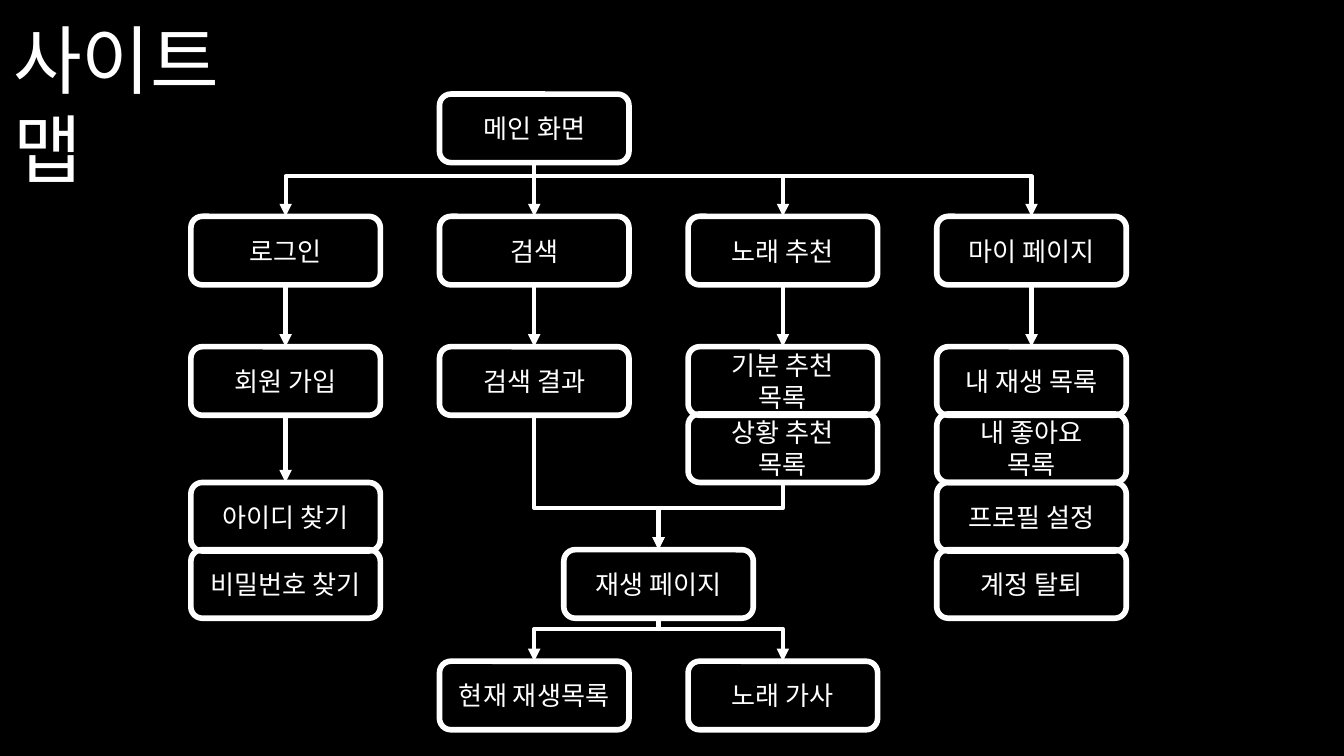
"""Build the site map slide of a music service."""
from dataclasses import dataclass
from typing import Optional

from lxml import etree
from pptx import Presentation
from pptx.dml.color import RGBColor
from pptx.enum.shapes import MSO_CONNECTOR, MSO_SHAPE
from pptx.enum.text import MSO_ANCHOR, MSO_AUTO_SIZE, PP_ALIGN
from pptx.oxml.ns import qn
from pptx.shapes.autoshape import Shape
from pptx.slide import Slide
from pptx.text.text import TextFrame
from pptx.util import Inches, Pt

ROUNDED = MSO_SHAPE.ROUNDED_RECTANGLE
STRAIGHT, ELBOW = MSO_CONNECTOR.STRAIGHT, MSO_CONNECTOR.ELBOW
LEFT, CENTER = PP_ALIGN.LEFT, PP_ALIGN.CENTER
TOP, MIDDLE = MSO_ANCHOR.TOP, MSO_ANCHOR.MIDDLE
GROW = MSO_AUTO_SIZE.SHAPE_TO_FIT_TEXT
TOP_SITE, BOTTOM_SITE = 0, 2


@dataclass(frozen=True)
class Theme:
    background: RGBColor = RGBColor(0x00, 0x00, 0x00)
    ink: RGBColor = RGBColor(0xFF, 0xFF, 0xFF)
    font: str = "Calibri"
    title_size: int = 40
    label_size: int = 14
    box_line: float = 3
    link_line: float = 2.25


@dataclass(frozen=True)
class Screen:
    label: str
    column: float
    row: int


@dataclass(frozen=True)
class Link:
    source: str
    target: str
    lane: Optional[float] = None


THEME = Theme()
PAGE_WIDTH = Inches(10)
PAGE_HEIGHT = PAGE_WIDTH * 9 // 16
BOX_WIDTH, BOX_HEIGHT = 1.41, 0.51
FIRST_COLUMN, COLUMN_STEP = 1.42, 1.85
ROW_TOPS = (0.7, 1.61, 2.58, 3.08, 3.59, 4.09, 4.92)
INSET = 0.1
MENU_LANE, PLAYER_LANE, DETAIL_LANE = 1.31, 3.78, 4.68

SCREENS = (
    Screen("메인 화면", 1, 0),
    Screen("로그인", 0, 1),
    Screen("검색", 1, 1),
    Screen("노래 추천", 2, 1),
    Screen("마이 페이지", 3, 1),
    Screen("회원 가입", 0, 2),
    Screen("검색 결과", 1, 2),
    Screen("기분 추천 목록", 2, 2),
    Screen("내 재생 목록", 3, 2),
    Screen("상황 추천 목록", 2, 3),
    Screen("내 좋아요 목록", 3, 3),
    Screen("아이디 찾기", 0, 4),
    Screen("프로필 설정", 3, 4),
    Screen("비밀번호 찾기", 0, 5),
    Screen("재생 페이지", 1.5, 5),
    Screen("계정 탈퇴", 3, 5),
    Screen("현재 재생목록", 1, 6),
    Screen("노래 가사", 2, 6),
)

LINKS = (
    Link("메인 화면", "검색"),
    Link("메인 화면", "로그인", MENU_LANE),
    Link("메인 화면", "노래 추천", MENU_LANE),
    Link("메인 화면", "마이 페이지", MENU_LANE),
    Link("로그인", "회원 가입"),
    Link("검색", "검색 결과"),
    Link("노래 추천", "기분 추천 목록"),
    Link("마이 페이지", "내 재생 목록"),
    Link("회원 가입", "아이디 찾기"),
    Link("검색 결과", "재생 페이지", PLAYER_LANE),
    Link("상황 추천 목록", "재생 페이지", PLAYER_LANE),
    Link("재생 페이지", "현재 재생목록", DETAIL_LANE),
    Link("재생 페이지", "노래 가사", DETAIL_LANE),
)


def write_text(frame: TextFrame, text: str, size: int, align: PP_ALIGN, anchor: MSO_ANCHOR) -> None:
    frame.word_wrap = True
    frame.vertical_anchor = anchor
    frame.margin_left = frame.margin_right = Inches(INSET)
    frame.margin_top = frame.margin_bottom = Inches(INSET)
    para = frame.paragraphs[0]
    para.alignment = align
    span = para.add_run()
    span.text = text
    span.font.name = THEME.font
    span.font.size = Pt(size)
    span.font.color.rgb = THEME.ink


def draw_title(page: Slide, text: str) -> None:
    box = page.shapes.add_textbox(Inches(0), Inches(0), Inches(2.24), Inches(0.88))
    write_text(box.text_frame, text, THEME.title_size, LEFT, TOP)
    box.text_frame.auto_size = GROW


def draw_screen(page: Slide, screen: Screen) -> Shape:
    left = FIRST_COLUMN + COLUMN_STEP * screen.column
    box = page.shapes.add_shape(
        ROUNDED, Inches(left), Inches(ROW_TOPS[screen.row]), Inches(BOX_WIDTH), Inches(BOX_HEIGHT)
    )
    box.shadow.inherit = False
    box.fill.background()
    box.line.color.rgb = THEME.ink
    box.line.width = Pt(THEME.box_line)
    write_text(box.text_frame, screen.label, THEME.label_size, CENTER, MIDDLE)
    return box


def draw_link(page: Slide, source: Shape, target: Shape, lane: Optional[float]) -> None:
    start_x, start_y = source.left + source.width // 2, source.top + source.height
    end_x, end_y = target.left + target.width // 2, target.top
    kind = STRAIGHT if lane is None else ELBOW
    link = page.shapes.add_connector(kind, start_x, start_y, end_x, end_y)
    link.begin_connect(source, BOTTOM_SITE)
    link.end_connect(target, TOP_SITE)
    link.line.color.rgb = THEME.ink
    link.line.width = Pt(THEME.link_line)
    properties = link._element.spPr
    etree.SubElement(properties.find(qn("a:ln")), qn("a:tailEnd"), type="triangle")
    etree.SubElement(properties, qn("a:effectLst"))
    if lane is None:
        return
    drop, spread = end_y - start_y, abs(end_x - start_x)
    goes_right = end_x > start_x
    link.left = (start_x + end_x - drop) // 2
    link.top = (start_y + end_y - spread) // 2
    link.width, link.height = drop, spread
    frame = properties.find(qn("a:xfrm"))
    frame.set("rot", str((270 if goes_right else 90) * 60000))
    frame.set("flipH", "1" if goes_right else "0")
    bend = round((Inches(lane) - start_y) / drop * 100000)
    guides = properties.find(qn("a:prstGeom")).find(qn("a:avLst"))
    etree.SubElement(guides, qn("a:gd"), name="adj1", fmla=f"val {bend}")


def main() -> None:
    deck = Presentation()
    deck.slide_width, deck.slide_height = PAGE_WIDTH, PAGE_HEIGHT
    page = deck.slides.add_slide(deck.slide_layouts[6])
    page.background.fill.solid()
    page.background.fill.fore_color.rgb = THEME.background
    draw_title(page, "사이트 맵")
    boxes = {screen.label: draw_screen(page, screen) for screen in SCREENS}
    for link in LINKS:
        draw_link(page, boxes[link.source], boxes[link.target], link.lane)
    deck.save("out.pptx")


if __name__ == "__main__":
    main()
